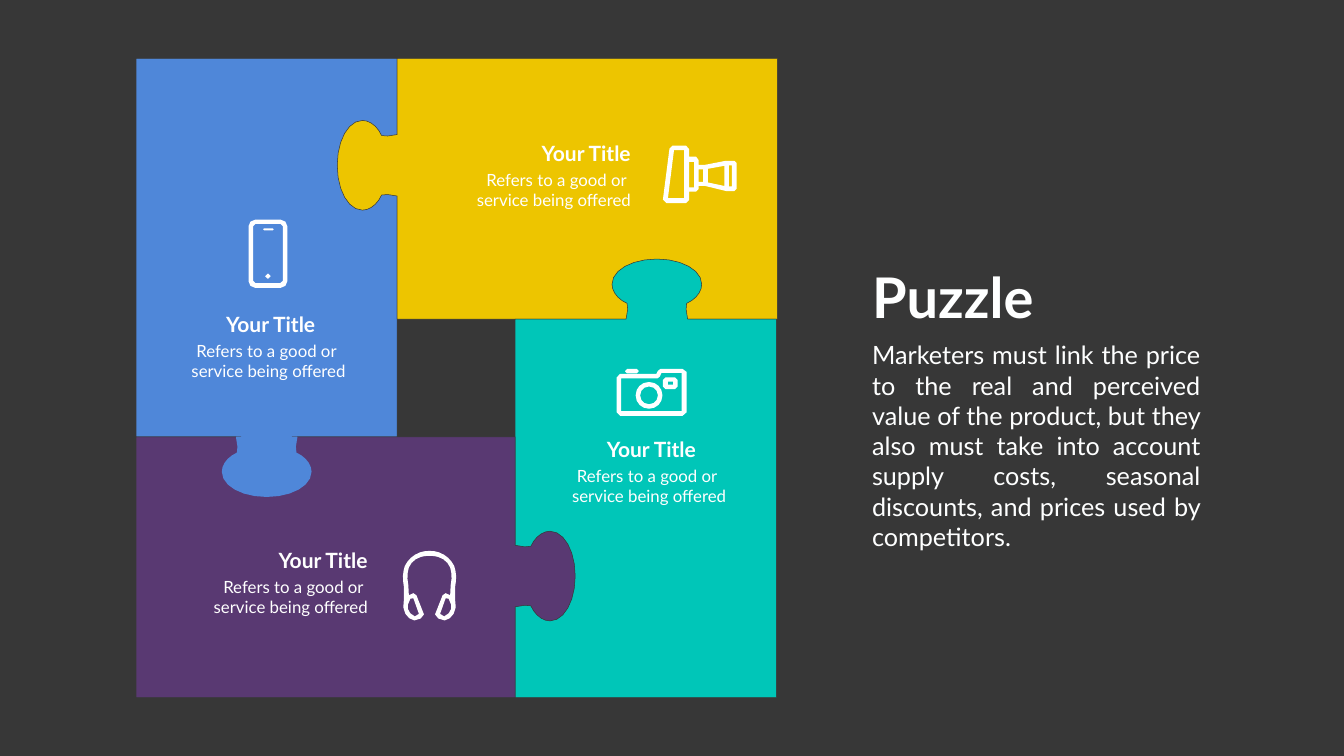
from dataclasses import dataclass
from math import ceil, dist
from pptx import Presentation as Deck
from pptx.dml.color import RGBColor
from pptx.enum.text import PP_ALIGN as Align
from pptx.util import Cm, Pt

Spot = tuple[float, float]
Ring = list[Spot]

FONT = "Lato"
WHITE, DARK = "FFFFFF", "373737"
BLUE, GOLD, TEAL, PLUM = "4F87D9", "EDC500", "00C6B8", "593972"
SIDES = {"top": (1, 0), "right": (0, 1), "bottom": (-1, 0), "left": (0, -1)}


@dataclass
class Piece:
    left: float
    top: float
    right: float
    bottom: float
    side: str
    mid: float
    color: str


@dataclass
class Label:
    left: float
    top: float
    align: Align
    shift: float


PIECES = [
    Piece(2.7, 1.16, 7.88, 8.67, "bottom", 5.29, BLUE),
    Piece(7.88, 1.16, 15.42, 6.33, "left", 3.28, GOLD),
    Piece(10.22, 6.33, 15.4, 13.84, "top", 13.03, TEAL),
    Piece(2.7, 8.67, 10.22, 13.84, "right", 11.43, PLUM),
]

LABELS = [
    Label(3.62, 6.14, Align.CENTER, 0.63),
    Label(11.17, 8.62, Align.CENTER, 0.63),
    Label(9.2, 2.74, Align.RIGHT, 1.17),
    Label(3.98, 10.82, Align.RIGHT, 1.17),
]

NECK = [(-0.61, 0), (-0.58, 0.19), (-0.59, 0.31),
        (-0.77, 0.39, -0.89, 0.54, -0.89, 0.69),
        (-0.89, 0.97, -0.5, 1.19, 0, 1.19)]

BAND = [(8.52, 10.93), (8.45, 10.93, 8.39, 10.94, 8.33, 10.96),
        (8.19, 11.01, 8.09, 11.11, 8.03, 11.23),
        (7.99, 11.35, 7.98, 11.48, 8.01, 11.63),
        (8.01, 11.92), (8, 12.05),
        (8.02, 12.2, 8.11, 12.29, 8.22, 12.31),
        (8.28, 12.31, 8.43, 12.25, 8.41, 12.19), (8.26, 11.81),
        (8.2, 11.77), (8.11, 11.81), (8.1, 11.61),
        (8.07, 11.48, 8.08, 11.36, 8.11, 11.26),
        (8.15, 11.16, 8.24, 11.08, 8.35, 11.05),
        (8.41, 11.03, 8.46, 11.03, 8.52, 11.03)]

PAD = [(8.2, 11.87), (8.31, 12.18), (8.23, 12.23), (8.14, 12.17),
       (8.09, 12.08), (8.09, 12), (8.14, 11.88)]

BODY = [(12.3, 8.25), (12.23, 8.18), (12.23, 7.49), (12.3, 7.42), (13.02, 7.42),
        (13.05, 7.36), (13.1, 7.32), (13.54, 7.32), (13.62, 7.38),
        (13.62, 8.18), (13.54, 8.25)]

HOLLOW = [(12.32, 8.16), (13.52, 8.16), (13.52, 7.4), (13.12, 7.4),
          (13.09, 7.47), (13.04, 7.51), (12.32, 7.51)]

SCOPE = [(14.4, 3.19), (13.99, 3.27), (13.86, 3.27), (13.86, 3.18),
         (13.81, 3.11), (13.67, 3.11), (13.67, 2.96), (13.61, 2.89),
         (13.34, 2.89), (13.28, 2.95), (13.15, 3.96), (13.22, 4.03),
         (13.61, 4.03), (13.67, 3.97), (13.67, 3.8), (13.81, 3.8),
         (13.86, 3.75), (13.86, 3.69), (13.99, 3.69), (14.4, 3.79),
         (14.57, 3.79), (14.61, 3.75), (14.61, 3.23), (14.57, 3.19)]

LENS = [(14.04, 3.35), (14.37, 3.29), (14.37, 3.69), (14.04, 3.62)]
HOOD = [(13.25, 3.93), (13.37, 2.98), (13.57, 2.98), (13.57, 3.93)]


def inch(size: float) -> Cm:
    return Cm(size * 2.54)


def tint(code: str) -> RGBColor:
    return RGBColor.from_string(code)


def bend(steps: list[tuple]) -> Ring:
    ring = [steps[0]]
    for step in steps[1:]:
        if len(step) == 2:
            ring.append(step)
            continue
        nodes = [ring[-1], step[:2], step[2:4], step[4:]]
        count = min(6, ceil(dist(nodes[0], nodes[3]) / 0.12))
        for part in range(1, count + 1):
            t = part / count
            rates = ((1 - t) ** 3, 3 * t * (1 - t) ** 2, 3 * t * t * (1 - t), t ** 3)
            ring.append(tuple(sum(r * n[axis] for r, n in zip(rates, nodes))
                              for axis in (0, 1)))
    return ring


def flip(ring: Ring, mid: float) -> Ring:
    return [(2 * mid - x, y) for x, y in reversed(ring)]


def box(left: float, top: float, right: float, bottom: float, curve: float = 0) -> Ring:
    if not curve:
        return [(left, top), (right, top), (right, bottom), (left, bottom)]
    k = curve * 0.45
    return bend([
        (left + curve, top), (right - curve, top),
        (right - k, top, right, top + k, right, top + curve),
        (right, bottom - curve),
        (right, bottom - k, right - k, bottom, right - curve, bottom),
        (left + curve, bottom),
        (left + k, bottom, left, bottom - k, left, bottom - curve),
        (left, top + curve), (left, top + k, left + k, top, left + curve, top)])


def knob(piece: Piece) -> Ring:
    half = bend(NECK)
    dx, dy = SIDES[piece.side]
    edge = getattr(piece, piece.side)
    x, y = (piece.mid, edge) if dx else (edge, piece.mid)
    return [(x + u * dx + v * dy, y + u * dy - v * dx)
            for u, v in half + flip(half[:-1], 0)]


def rim(piece: Piece) -> Ring:
    nooks = box(piece.left, piece.top, piece.right, piece.bottom)
    ring = []
    for nook, side in zip(nooks, SIDES):
        ring.append(nook)
        if side == piece.side:
            ring += knob(piece)
    return ring


def draw(slide, rings: list[Ring], color: str, edge: str | None = None) -> None:
    grid = [[(inch(x), inch(y)) for x, y in ring] for ring in rings]
    pen = slide.shapes.build_freeform(*grid[0][0])
    pen.add_line_segments(grid[0][1:], close=True)
    for ring in grid[1:]:
        pen.move_to(*ring[0])
        pen.add_line_segments(ring[1:], close=True)
    shape = pen.convert_to_shape()
    shape.shadow.inherit = False
    shape.fill.solid()
    shape.fill.fore_color.rgb = tint(color)
    if edge:
        shape.line.color.rgb = tint(edge)
        shape.line.width = Pt(0.75)
    else:
        shape.line.fill.background()


def write(slide, area: tuple, lines: list[str], size: int, align: Align,
          color: str = WHITE, bold: bool = False) -> None:
    frame = slide.shapes.add_textbox(*map(inch, area)).text_frame
    frame.word_wrap = True
    for index, line in enumerate(lines):
        para = frame.add_paragraph() if index else frame.paragraphs[0]
        para.alignment = align
        run = para.add_run()
        run.text = line
        run.font.name = FONT
        run.font.size = Pt(size)
        run.font.bold = bold
        run.font.color.rgb = tint(color)


def main() -> None:
    deck = Deck()
    deck.slide_width, deck.slide_height = inch(26.66), inch(15)
    slide = deck.slides.add_slide(deck.slide_layouts[6])
    slide.background.fill.solid()
    slide.background.fill.fore_color.rgb = tint(DARK)

    for piece in PIECES:
        draw(slide, [rim(piece)], piece.color, DARK)
    draw(slide, [knob(PIECES[0])], BLUE)
    draw(slide, [[(4.81, 8.79), (4.74, 8.43), (5.82, 8.43), (5.75, 8.93)]], BLUE)

    band = bend(BAND)
    icons = [
        [BODY, HOLLOW],
        [box(12.4, 7.32, 12.67, 7.41, 0.04)],
        [box(13.15, 7.49, 13.44, 7.72, 0.05), box(13.25, 7.57, 13.35, 7.63)],
        [box(12.61, 7.58, 13.14, 8.11, 0.26), box(12.7, 7.67, 13.05, 8.02, 0.17)],
        [SCOPE, LENS, HOOD, box(14.46, 3.28, 14.52, 3.7),
         box(13.67, 3.21, 13.77, 3.72), box(13.86, 3.36, 13.95, 3.61)],
        [band + flip(band[1:], 8.52), PAD, flip(PAD, 8.52)],
        [box(4.93, 4.36, 5.7, 5.71, 0.13), box(5.02, 4.44, 5.61, 5.62, 0.05)],
        [box(5.26, 5.43, 5.37, 5.53, 0.05)],
        [box(5.22, 4.53, 5.43, 4.57, 0.02)],
    ]
    for icon in icons:
        draw(slide, icon, WHITE)

    write(slide, (17.2, 6.69, 6.71, 3.85), [
        "Marketers must link the price to the real and perceived value of the "
        "product, but they also must take into account supply costs, seasonal "
        "discounts, and prices used by competitors."], 36, Align.JUSTIFY, "FEFFFF")
    write(slide, (17.2, 5.16, 3.89, 1.45), ["Puzzle"], 80, Align.LEFT, "FEFFFF", True)
    for tag in LABELS:
        write(slide, (tag.left + tag.shift, tag.top, 2.24, 0.71),
              ["Your Title"], 30, tag.align, bold=True)
        write(slide, (tag.left, tag.top + 0.57, 3.41, 1.04),
              ["Refers to a good or ", "service being offered"], 24, tag.align)
    deck.save("out.pptx")


if __name__ == "__main__":
    main()
